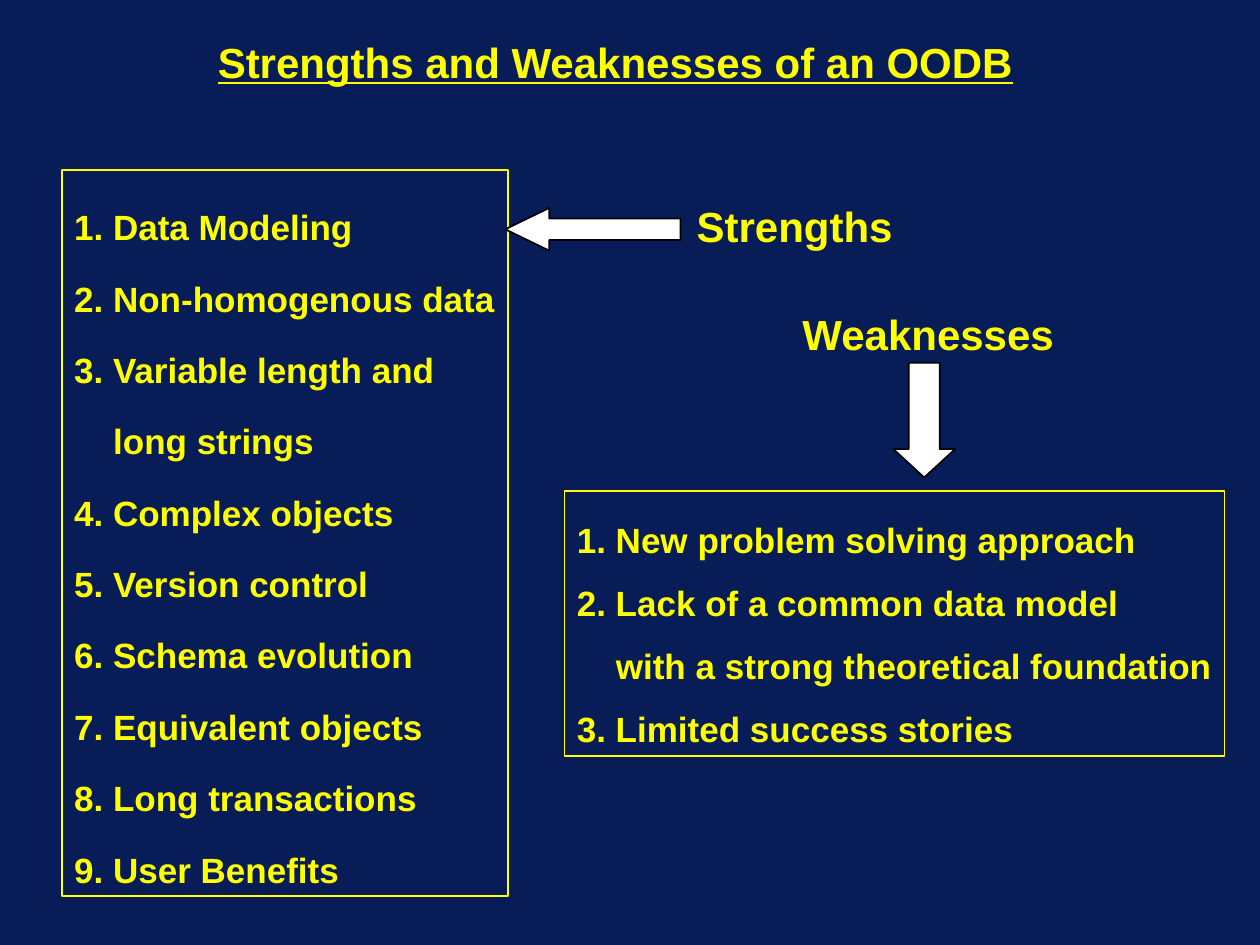
import pptx
import pptx.dml.color
import pptx.enum.shapes
import pptx.enum.text
import pptx.util

Inches = pptx.util.Inches
SHAPES = pptx.enum.shapes.MSO_SHAPE

NAVY = pptx.dml.color.RGBColor(0x08, 0x1D, 0x58)
YELLOW = pptx.dml.color.RGBColor(0xFF, 0xFF, 0x00)
WHITE = pptx.dml.color.RGBColor(0xFF, 0xFF, 0xFF)
BLACK = pptx.dml.color.RGBColor(0x00, 0x00, 0x00)

NUMBER_WIDTH = 0.31

# "\v" is a line break inside an item
STRENGTHS = [
    "Data Modeling",
    "Non-homogenous data",
    "Variable length and\vlong strings",
    "Complex objects",
    "Version control",
    "Schema evolution",
    "Equivalent objects",
    "Long transactions",
    "User Benefits",
]
WEAKNESSES = [
    "New problem solving approach",
    "Lack of a common data model\vwith a strong theoretical foundation",
    "Limited success stories",
]


def write_text(frame, lines, size=24, underline=None, spacing=None, hanging=0):
    """Fill a frame with one paragraph per line; hanging is in inches."""
    frame.word_wrap = False
    frame.auto_size = pptx.enum.text.MSO_AUTO_SIZE.SHAPE_TO_FIT_TEXT
    frame.vertical_anchor = pptx.enum.text.MSO_ANCHOR.TOP
    for index, line in enumerate(lines):
        paragraph = frame.paragraphs[0] if index == 0 else frame.add_paragraph()
        paragraph.text = line
        paragraph.alignment = pptx.enum.text.PP_ALIGN.LEFT
        if spacing:
            paragraph.line_spacing = spacing
        if hanging:
            properties = paragraph._p.get_or_add_pPr()
            properties.set("marL", str(Inches(hanging)))
            properties.set("indent", str(-Inches(hanging)))
        for run in paragraph.runs:
            run.font.name = "Arial"
            run.font.size = pptx.util.Pt(size)
            run.font.bold = True
            run.font.underline = underline
            run.font.color.rgb = YELLOW


def add_heading(slide, text, left, top, width, underline=None):
    box = slide.shapes.add_textbox(
        Inches(left), Inches(top), Inches(width), Inches(0.5))
    write_text(box.text_frame, [text], underline=underline)


def add_outlined_shape(slide, kind, bounds, line_color, fill_color=None):
    shape = slide.shapes.add_shape(kind, *map(Inches, bounds))
    shape.shadow.inherit = False
    if fill_color is None:
        shape.fill.background()
    else:
        shape.fill.solid()
        shape.fill.fore_color.rgb = fill_color
    shape.line.color.rgb = line_color
    shape.line.width = pptx.util.Pt(1)
    return shape


def add_numbered_box(slide, items, bounds, spacing):
    box = add_outlined_shape(slide, SHAPES.RECTANGLE, bounds, YELLOW)
    lines = [f"{number}. {item}" for number, item in enumerate(items, 1)]
    write_text(box.text_frame, lines, size=20, spacing=spacing,
               hanging=NUMBER_WIDTH)


def add_arrow(slide, kind, bounds, head_length):
    arrow = add_outlined_shape(slide, kind, bounds, BLACK, WHITE)
    arrow.adjustments[0] = 0.5
    arrow.adjustments[1] = head_length


def main():
    deck = pptx.Presentation()
    deck.slide_width, deck.slide_height = Inches(10), Inches(7.5)
    slide = deck.slides.add_slide(deck.slide_layouts[6])
    slide.background.fill.solid()
    slide.background.fill.fore_color.rgb = NAVY

    add_numbered_box(slide, STRENGTHS, (0.49, 1.35, 3.54, 5.76), spacing=1.7)
    add_numbered_box(slide, WEAKNESSES, (4.48, 3.9, 5.24, 2.1), spacing=1.5)
    add_heading(slide, "Strengths and Weaknesses of an OODB", 1.63, 0.24, 6.52,
                underline=True)
    add_heading(slide, "Strengths", 5.43, 1.54, 1.78)
    add_heading(slide, "Weaknesses", 6.27, 2.4, 2.22)
    add_arrow(slide, SHAPES.LEFT_ARROW, (4.01, 1.65, 1.39, 0.34), 1.03)
    add_arrow(slide, SHAPES.DOWN_ARROW, (7.09, 2.88, 0.49, 0.91), 0.46)

    deck.save("out.pptx")


if __name__ == "__main__":
    main()
